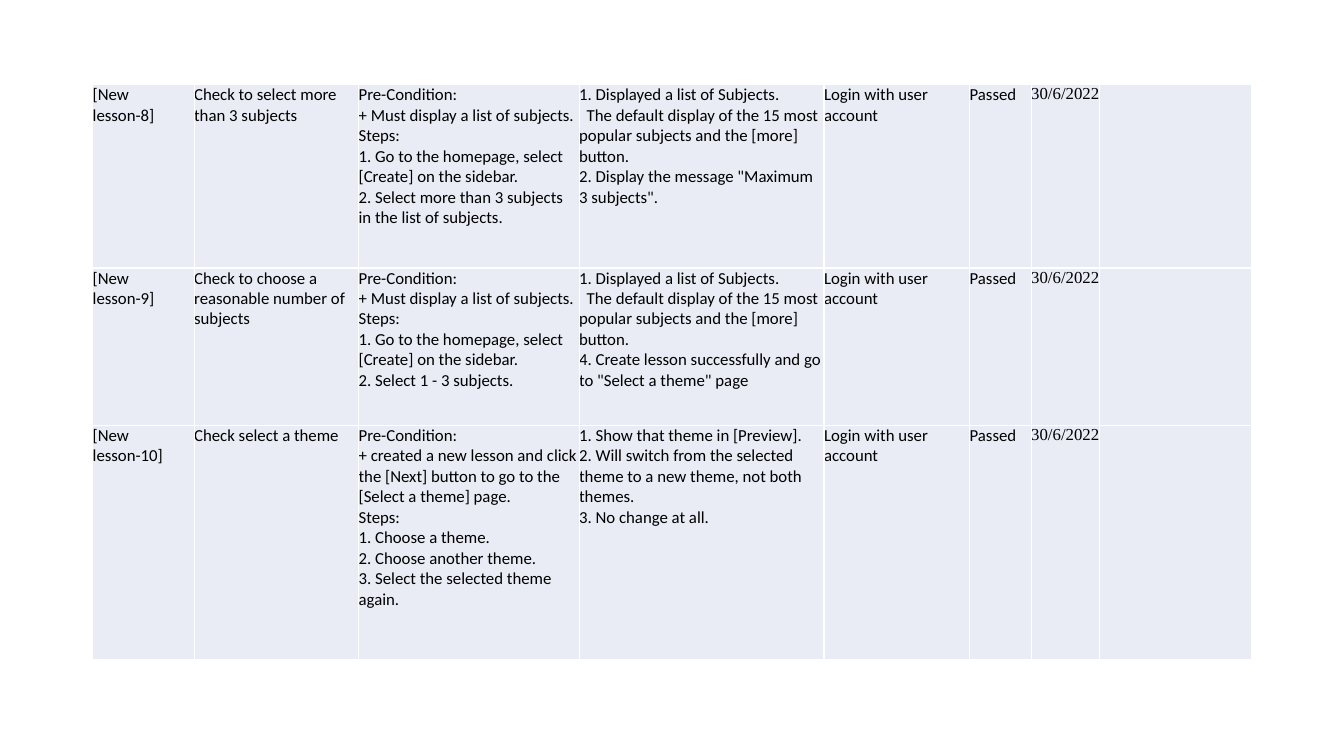
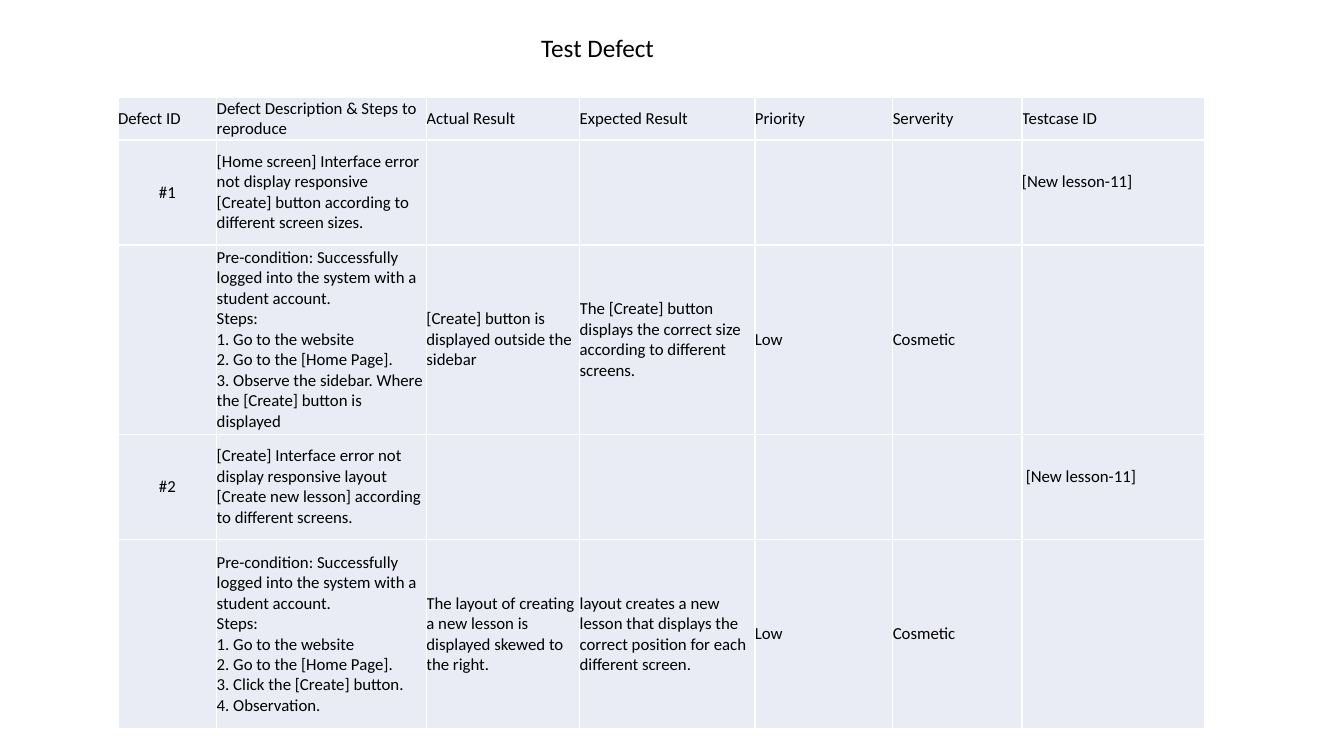
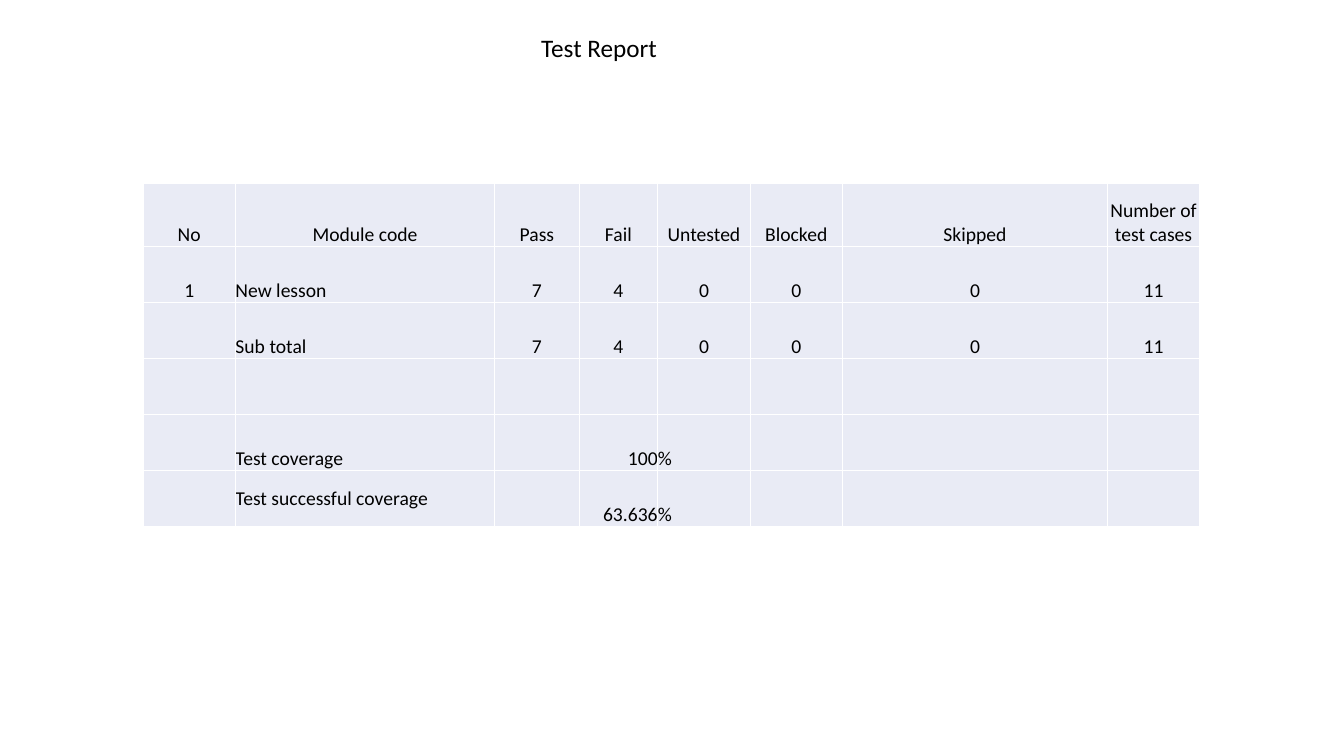
from dataclasses import dataclass
from itertools import product

from lxml.etree import SubElement
from pptx import Presentation
from pptx.dml.color import RGBColor
from pptx.enum.text import MSO_ANCHOR, PP_ALIGN
from pptx.oxml.ns import qn
from pptx.util import Pt

LEFT, CENTER, RIGHT = PP_ALIGN.LEFT, PP_ALIGN.CENTER, PP_ALIGN.RIGHT
TOP, MIDDLE, BOTTOM = MSO_ANCHOR.TOP, MSO_ANCHOR.MIDDLE, MSO_ANCHOR.BOTTOM


@dataclass(frozen=True)
class Theme:
    ink: str = "000000"
    cell: str = "E9EBF5"
    border: str = "FFFFFF"
    border_width: float = 1
    font: str = "Calibri"
    date_font: str = "Times New Roman"
    title_size: float = 18
    body_size: float = 12
    report_size: float = 14


THEME = Theme()

SUBJECTS_SHOWN = (
    "1. Displayed a list of Subjects.\n"
    "The default display of the 15 most popular subjects and the [more] button.\n"
)
SUBJECTS_STEPS = (
    "Pre-Condition:\n+ Must display a list of subjects.\nSteps:\n"
    "1. Go to the homepage, select [Create] on the sidebar.\n"
)
SUBJECTS_INDENT = {1: 5.4}
RUN_DETAILS = [
    "Login with user account",
    "Passed",
    dict(text="30/6/2022", font=THEME.date_font),
    "",
]
TEST_CASES = [
    [
        "[New lesson-8]",
        "Check to select more than 3 subjects",
        SUBJECTS_STEPS + "2. Select more than 3 subjects in the list of subjects.",
        dict(text=SUBJECTS_SHOWN + '2. Display the message "Maximum 3 subjects".',
             indents=SUBJECTS_INDENT),
        *RUN_DETAILS,
    ],
    [
        "[New lesson-9]",
        "Check to choose a reasonable number of subjects",
        SUBJECTS_STEPS + "2. Select 1 - 3 subjects.",
        dict(text=SUBJECTS_SHOWN
             + '4. Create lesson successfully and go to "Select a theme" page',
             indents=SUBJECTS_INDENT),
        *RUN_DETAILS,
    ],
    [
        "[New lesson-10]",
        "Check select a theme",
        "Pre-Condition:\n+ created a new lesson and click the [Next] button to go to "
        "the [Select a theme] page.\nSteps:\n1. Choose a theme.\n"
        "2. Choose another theme.\n3. Select the selected theme again.",
        "1. Show that theme in [Preview].\n2. Will switch from the selected theme to a "
        "new theme, not both themes.\n3. No change at all.",
        *RUN_DETAILS,
    ],
]

DEFECT_STEPS = (
    "Pre-condition: Successfully logged into the system with a student account.\n"
    "Steps:\n1. Go to the website\n2. Go to the [Home Page].\n"
)
RAISED = 14.6
DEFECTS = [
    ["Defect ID", "Defect Description & Steps to reproduce", "Actual Result",
     "Expected Result", "Priority", "Serverity", "Testcase ID"],
    [
        dict(text="#1", align=CENTER),
        "[Home screen] Interface error not display responsive [Create] button "
        "according to different screen sizes.",
        "", "", "", "",
        dict(text="[New lesson-11]", below=RAISED),
    ],
    [
        "",
        DEFECT_STEPS + "3. Observe the sidebar. Where the [Create] button is displayed",
        "[Create] button is displayed outside the sidebar",
        "The [Create] button displays the correct size according to different screens.",
        "Low", "Cosmetic", "",
    ],
    [
        dict(text="#2", align=CENTER),
        "[Create] Interface error not display responsive layout [Create new lesson] "
        "according to different screens.",
        "", "", "", "",
        dict(text="[New lesson-11]", below=RAISED, indents={0: 2.7}),
    ],
    [
        "",
        DEFECT_STEPS + "3. Click the [Create] button.\n4. Observation.",
        "The layout of creating a new lesson is displayed skewed to the right.",
        "layout creates a new lesson that displays the correct position for each "
        "different screen.",
        "Low", "Cosmetic", "",
    ],
]

COUNTS = ["7", "4", "0", "0", "0", "11"]
PERCENT = dict(text="%", align=LEFT)
REPORT = [
    ["No", "Module code", "Pass", "Fail", "Untested", "Blocked", "Skipped",
     "Number of test cases"],
    ["1", dict(text="New lesson", align=LEFT), *COUNTS],
    ["", dict(text="Sub total", align=LEFT), *COUNTS],
    [""] * 8,
    ["", dict(text="Test coverage", align=LEFT), "",
     dict(text="100", align=RIGHT), PERCENT, "", "", ""],
    ["", dict(text="Test successful coverage", align=LEFT, anchor=MIDDLE), "",
     dict(text="63.636", align=RIGHT), PERCENT, "", "", ""],
]

SLIDES = [
    dict(title="", entries=TEST_CASES, at=(66.2, 60.5),
         widths=[72.5, 117.5, 157.5, 175, 104, 44, 49, 108.5],
         heights=[131, 112.5, 167.5],
         style=dict(anchor=TOP)),
    dict(title="Test Defect", entries=DEFECTS, at=(84.3, 69.8),
         widths=[70.5, 149.8, 109.5, 125.2, 98.5, 92.3, 130.4],
         heights=[30.2, 75, 135.3, 75, 135.3],
         style=dict(anchor=MIDDLE)),
    dict(title="Test Report", entries=REPORT, at=(102.2, 131.2),
         widths=[66, 185.2, 60.3, 56.2, 66, 66, 189.2, 66],
         heights=[45] + [40] * 5,
         style=dict(anchor=BOTTOM, align=CENTER, size=THEME.report_size)),
]


def write(frame, text, size=THEME.body_size, font=THEME.font, align=LEFT, indents=None):
    for index, line in enumerate(text.split("\n")):
        paragraph = frame.paragraphs[0] if index == 0 else frame.add_paragraph()
        paragraph.alignment = align
        paragraph.line_spacing = 1.0
        if indents and index in indents:
            paragraph.get_or_add_pPr = paragraph._p.get_or_add_pPr
            paragraph._p.get_or_add_pPr().set("indent", str(Pt(indents[index])))
        run = paragraph.add_run()
        run.text = line
        run.font.size = Pt(size)
        run.font.name = font
        run.font.color.rgb = RGBColor.from_string(THEME.ink)


def add_borders(cell):
    properties = cell._tc.get_or_add_tcPr()
    for position, side in enumerate(("lnL", "lnR", "lnT", "lnB")):
        edge = SubElement(properties, qn("a:" + side), w=str(Pt(THEME.border_width)))
        SubElement(SubElement(edge, qn("a:solidFill")), qn("a:srgbClr"), val=THEME.border)
        properties.insert(position, edge)


def fill_cell(cell, text, anchor, below=0, **text_format):
    cell.margin_left = cell.margin_right = cell.margin_top = 0
    cell.margin_bottom = Pt(below)
    cell.vertical_anchor = anchor
    cell.fill.solid()
    cell.fill.fore_color.rgb = RGBColor.from_string(THEME.cell)
    add_borders(cell)
    if text:
        write(cell.text_frame, text, **text_format)


def add_grid(slide, entries, at, widths, heights, style):
    box = [Pt(length) for length in (*at, sum(widths), sum(heights))]
    grid = slide.shapes.add_table(len(heights), len(widths), *box).table
    grid.first_row = grid.horz_banding = False
    for column, width in zip(grid.columns, widths):
        column.width = Pt(width)
    for row, height in zip(grid.rows, heights):
        row.height = Pt(height)
    for r, c in product(range(len(heights)), range(len(widths))):
        entry = entries[r][c]
        content = entry if isinstance(entry, dict) else dict(text=entry)
        fill_cell(grid.cell(r, c), **{**style, **content})


def add_title(slide, text):
    title = slide.shapes.title
    title.left, title.top, title.width, title.height = map(Pt, (379.4, 19.4, 257.8, 29))
    title.text_frame.vertical_anchor = TOP
    title.text_frame.word_wrap = True
    write(title.text_frame, text, size=THEME.title_size)


deck = Presentation()
deck.slide_width, deck.slide_height = Pt(960), Pt(540)
TITLE_ONLY, BLANK = deck.slide_layouts[5], deck.slide_layouts[6]

for page in SLIDES:
    heading = page["title"]
    slide = deck.slides.add_slide(TITLE_ONLY if heading else BLANK)
    if heading:
        add_title(slide, heading)
    add_grid(slide, page["entries"], page["at"], page["widths"], page["heights"],
             page["style"])

deck.save("out.pptx")
